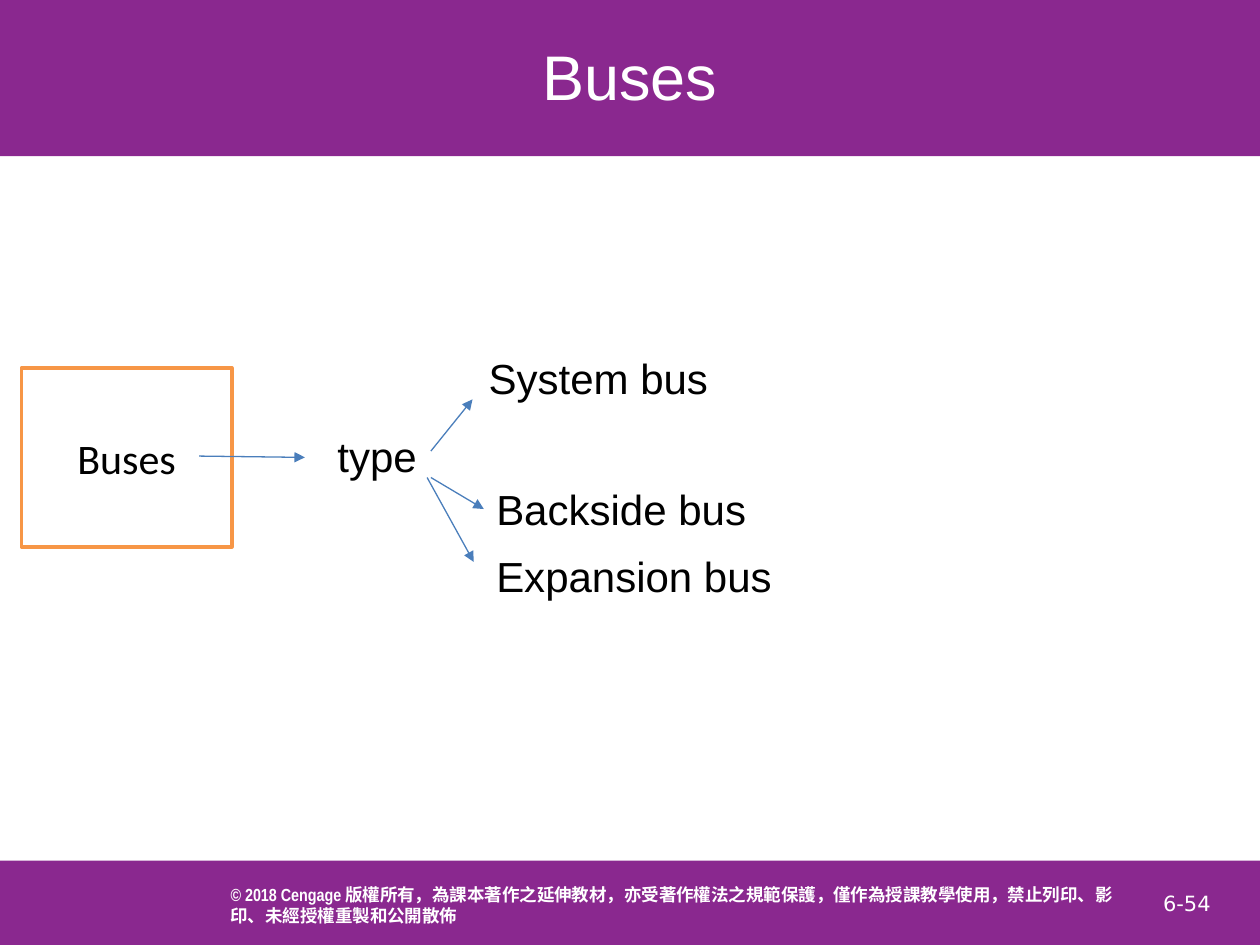
from lxml import etree
from pptx import Presentation
from pptx import util as u
from pptx.dml.color import RGBColor
from pptx.enum import shapes, text
from pptx.oxml.ns import qn

PURPLE = RGBColor(0x8A, 0x28, 0x8F)
WHITE = RGBColor(0xFF, 0xFF, 0xFF)
BLACK = RGBColor(0, 0, 0)
ORANGE = RGBColor(0xF7, 0x96, 0x46)
BLUE = RGBColor(0x4A, 0x7E, 0xBB)

BODY = {"name": "Arial", "size": u.Pt(24), "color": BLACK}
TITLE = {"name": "Arial", "size": u.Pt(36), "color": WHITE}
TOPIC = {"name": "Calibri", "size": u.Pt(24), "color": BLACK}
NOTICE_LATIN = {"name": "Arial Narrow", "size": u.Pt(10), "color": WHITE, "bold": True}
NOTICE_CJK = {**NOTICE_LATIN, "name": "Calibri"}
PAGE = {"name": "DejaVu Sans", "size": u.Pt(12), "color": WHITE}

BUS_TYPES = [
    ("System bus", 3.78, 2.75, 1.96),
    ("Backside bus", 3.84, 3.79, 2.21),
    ("Expansion bus", 3.84, 4.32, 2.41),
]
# Start x, start y, end x, end y
ARROWS = [
    (1.58, 3.62, 2.42, 3.63),
    (3.42, 3.58, 3.75, 3.17),
    (3.42, 3.79, 3.84, 4.04),
    (3.39, 3.79, 3.76, 4.46),
]


def inches(values):
    return [u.Inches(value) for value in values]


def write(frame, runs, align=text.PP_ALIGN.LEFT, anchor=text.MSO_ANCHOR.MIDDLE, wrap=True):
    frame.word_wrap = wrap
    frame.vertical_anchor = anchor
    paragraph = frame.paragraphs[0]
    paragraph.alignment = align
    for words, style in runs:
        run = paragraph.add_run()
        run.text = words
        for key, value in style.items():
            if key == "color":
                run.font.color.rgb = value
            else:
                setattr(run.font, key, value)


def add_box(slide, place, fill, border=None):
    box = slide.shapes.add_shape(shapes.MSO_SHAPE.RECTANGLE, *inches(place))
    box.shadow.inherit = False
    box.fill.solid()
    box.fill.fore_color.rgb = fill
    if border is None:
        box.line.fill.background()
    else:
        box.line.color.rgb = border
        box.line.width = u.Pt(2)
    return box


def add_label(slide, words, left, top, width):
    label = slide.shapes.add_textbox(*inches((left, top, width, 0.5)))
    write(label.text_frame, [(words, BODY)], anchor=text.MSO_ANCHOR.TOP, wrap=False)
    label.text_frame.auto_size = text.MSO_AUTO_SIZE.SHAPE_TO_FIT_TEXT


def add_arrow(slide, ends):
    arrow = slide.shapes.add_connector(shapes.MSO_CONNECTOR.STRAIGHT, *inches(ends))
    arrow.line.color.rgb = BLUE
    arrow.line.width = u.Pt(0.75)
    etree.SubElement(arrow.line._get_or_add_ln(), qn("a:tailEnd"), type="triangle")
    etree.SubElement(arrow._element.spPr, qn("a:effectLst"))


def add_footer(slide):
    add_box(slide, (-0.01, 6.83, 10.02, 0.69), PURPLE)
    notice = add_box(slide, (1.83, 6.89, 7.05, 0.58), PURPLE).text_frame
    for side in ("left", "top", "right", "bottom"):
        setattr(notice, f"margin_{side}", 0)
    write(notice, [
        ("© 2018 Cengage ", NOTICE_LATIN),
        ("版權所有，為課本著作之延伸教材，亦受著作權法之規範保護，"
         "僅作為授課教學使用，禁止列印、影印、未經授權重製和公開散佈", NOTICE_CJK),
    ])
    page = slide.shapes.add_textbox(*inches((8.92, 6.92, 1, 0.5)))
    write(page.text_frame, [("6-54", PAGE)], text.PP_ALIGN.CENTER)


def main():
    deck = Presentation()
    deck.slide_width, deck.slide_height = inches((10, 7.5))
    slide = deck.slides.add_slide(deck.slide_layouts[6])

    # Header band with title, and footer
    add_box(slide, (0, 0, 10, 1.24), PURPLE)
    add_footer(slide)
    title = add_box(slide, (0.05, 0.03, 9.9, 1.14), PURPLE)
    write(title.text_frame, [("Buses", TITLE)], text.PP_ALIGN.CENTER)

    # Topic, its branch and the bus types
    topic = add_box(slide, (0.17, 2.92, 1.67, 1.42), WHITE, ORANGE)
    write(topic.text_frame, [("Buses", TOPIC)], text.PP_ALIGN.CENTER)
    add_label(slide, "type", 2.58, 3.37, 0.84)
    for bus_type in BUS_TYPES:
        add_label(slide, *bus_type)

    # Arrows from topic to branch and from branch to types
    for ends in ARROWS:
        add_arrow(slide, ends)

    deck.save("out.pptx")


if __name__ == "__main__":
    main()
